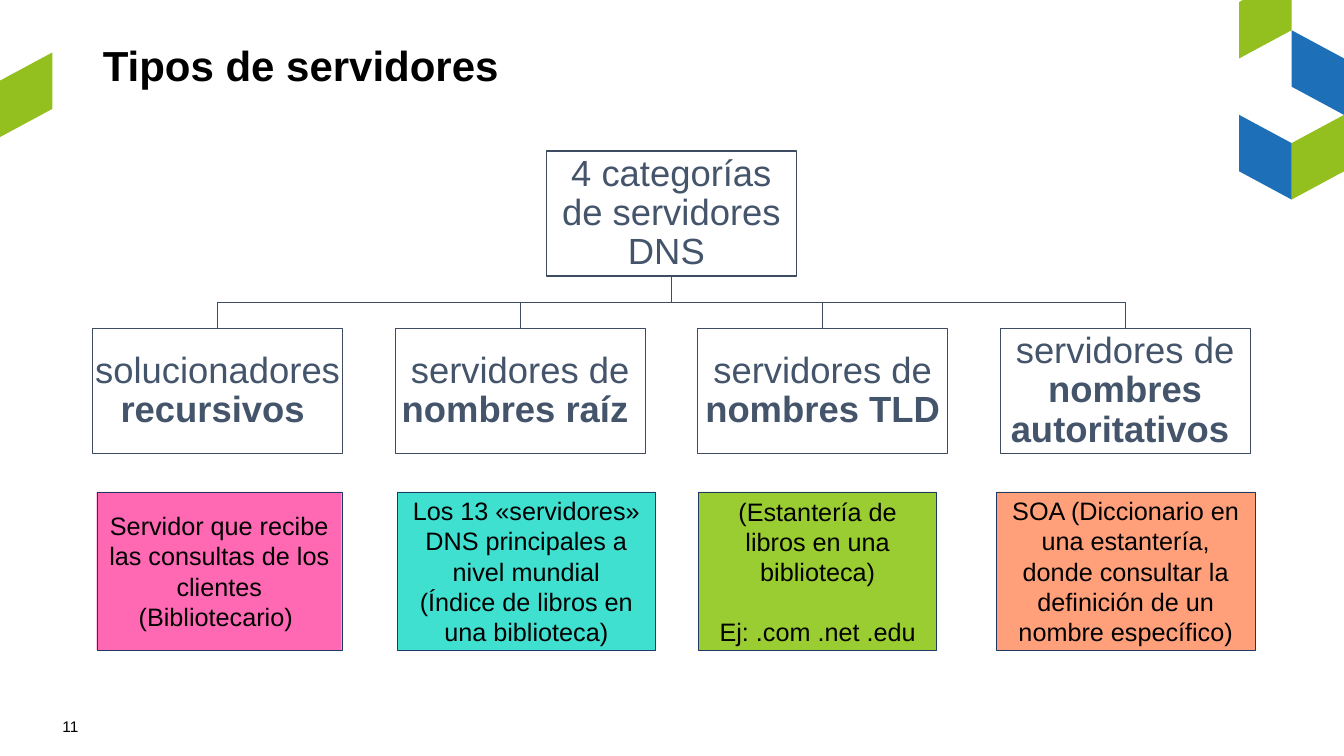
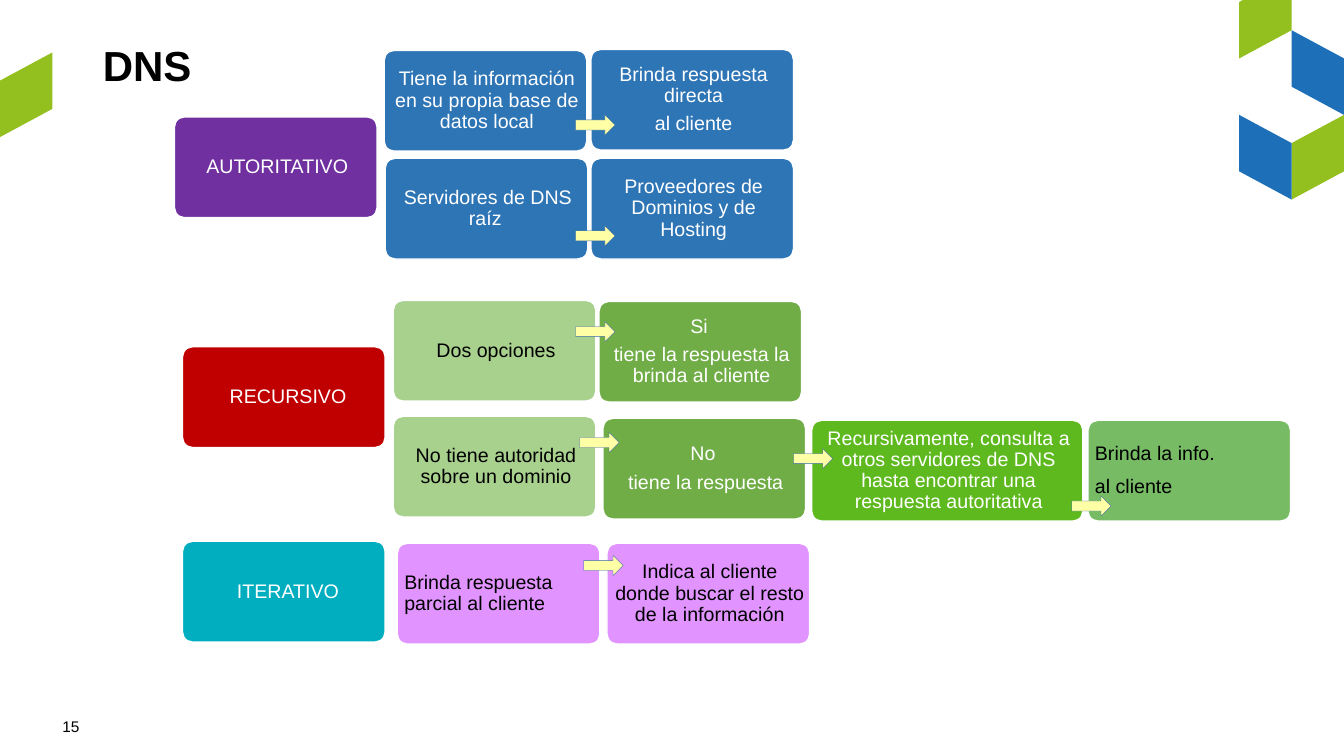
from dataclasses import dataclass
from pptx import Presentation
from pptx.dml.color import RGBColor
from pptx.enum.shapes import MSO_CONNECTOR, MSO_SHAPE
from pptx.enum.text import MSO_ANCHOR, PP_ALIGN
from pptx.oxml import parse_xml
from pptx.util import Inches, Pt


@dataclass(frozen=True)
class Theme:
    """Colours, font and type sizes of the deck."""
    font: str = "Arial"
    black: str = "000000"
    white: str = "FFFFFF"
    lime: str = "93C01F"
    blue: str = "1D70B7"
    slate: str = "44546A"
    edge: str = "3D4C60"
    navy: str = "203864"
    pink: str = "FF69B4"
    aqua: str = "40E0D0"
    grass: str = "9ACD32"
    salmon: str = "FFA07A"
    purple: str = "7030A0"
    azure: str = "2E75B6"
    red: str = "C00000"
    pale: str = "A9D18E"
    green: str = "70AD47"
    bright: str = "5EB91E"
    soft: str = "77BC65"
    teal: str = "00AEC0"
    lilac: str = "E194FF"
    cream: str = "FFFFA6"
    steel: str = "3465A4"
    head: int = 30
    node: int = 26
    note: int = 18
    step: int = 14
    foot: int = 11


T = Theme()
PADS = (0.1, 0.05, 0.1, 0.05)


def write(shape, *paras, size, color=T.black, bold=False, align=PP_ALIGN.CENTER,
          anchor=MSO_ANCHOR.MIDDLE, pads=PADS, space=1.0, after=0, gap=0):
    """Fill a shape with paragraphs; a tuple holds a plain and a bold run."""
    frame = shape.text_frame
    frame.word_wrap = True
    frame.vertical_anchor = anchor
    (frame.margin_left, frame.margin_top,
     frame.margin_right, frame.margin_bottom) = map(Inches, pads)
    for i, para in enumerate(paras):
        line = frame.add_paragraph() if i else frame.paragraphs[0]
        line.alignment = align
        line.line_spacing = space
        line.space_before = Pt(gap if i else 0)
        line.space_after = Pt(after)
        runs = (para,) if isinstance(para, str) else para
        for j, words in enumerate(runs):
            run = line.add_run()
            run.text = words
            font = run.font
            font.name, font.size, font.bold = T.font, Pt(size), bold or j > 0
            font.color.rgb = RGBColor.from_string(color)


def paint(shape, fill, line=None, width=1.0):
    """Set fill and outline and drop the shadow."""
    shape.shadow.inherit = False
    shape.fill.solid()
    shape.fill.fore_color.rgb = RGBColor.from_string(fill)
    if line:
        shape.line.color.rgb = RGBColor.from_string(line)
        shape.line.width = Pt(width)
    else:
        shape.line.fill.background()


def block(slide, kind, box, fill, line, width=1.0):
    """Add a painted preset shape."""
    shape = slide.shapes.add_shape(kind, *map(Inches, box))
    paint(shape, fill, line, width)
    return shape


def link(slide, *ends):
    """Draw a straight line of the tree."""
    line = slide.shapes.add_connector(MSO_CONNECTOR.STRAIGHT, *map(Inches, ends))
    line.line.color.rgb = RGBColor.from_string(T.edge)
    line.line.width = Pt(1)
    line.element.spPr.append(parse_xml(
        '<a:effectLst xmlns:a="http://schemas.openxmlformats.org/drawingml/2006/main"/>'))


def tile(slide, left, top, fill, rising):
    """Add one slanted tile."""
    wide, slant, side = 0.52, 0.28, 0.56
    near, far = (top + slant, top) if rising else (top, top + slant)
    spots = [(left, near), (left + wide, far),
             (left + wide, far + side), (left, near + side)]
    spots = [(Inches(x), Inches(y)) for x, y in spots]
    build = slide.shapes.build_freeform(*spots[0], scale=1.0)
    build.add_line_segments(spots[1:], close=True)
    shape = build.convert_to_shape()
    paint(shape, fill)
    return shape


def dress(layout, slide):
    """Move the tiles into the layout shared by all slides."""
    tree = layout.shapes.element
    for left, top, fill, rising in (
            (0, 0.52, T.lime, True), (12.81, 1.14, T.lime, True),
            (12.29, 1.14, T.blue, False), (12.81, 0.3, T.blue, False),
            (12.29, -0.26, T.lime, True)):
        tree.append(tile(slide, left, top, fill, rising).element)


def start(deck, layout, title, page):
    """Add a slide with its title and page number."""
    slide = deck.slides.add_slide(layout)
    write(slide.shapes.title, title, size=T.head, bold=True,
          align=PP_ALIGN.LEFT, anchor=MSO_ANCHOR.TOP, space=0.9)
    foot = slide.shapes.add_textbox(*map(Inches, (0.52, 7.07, 0.75, 0.4)))
    write(foot, page, size=T.foot, align=PP_ALIGN.LEFT, anchor=MSO_ANCHOR.TOP)
    return slide


def tree(slide, left, top, root, leaves):
    """Draw a root box joined to a row of leaf boxes."""
    wide, high, pitch, drop = 2.48, 1.24, 3.0, 0.26
    low = top + high + 2 * drop
    bus = top + high + drop
    first = left + wide / 2
    last = first + pitch * (len(leaves) - 1)
    mid = (first + last) / 2
    link(slide, mid, top + high, mid, bus)
    link(slide, first, bus, last, bus)
    nodes = [(mid - wide / 2, top, root)]
    for i, words in enumerate(leaves):
        x = left + i * pitch
        link(slide, x + wide / 2, bus, x + wide / 2, low)
        nodes.append((x, low, words))
    for x, y, words in nodes:
        shape = block(slide, MSO_SHAPE.RECTANGLE, (x, y, wide, high), T.white, T.edge)
        write(shape, words, size=T.node, color=T.slate, pads=(0.02,) * 4,
              space=0.9, after=9.1)


def notes(slide, left, top, cards):
    """Draw the coloured notes below the tree."""
    for x, wide, fill, gap, paras in cards:
        shape = block(slide, MSO_SHAPE.RECTANGLE, (left + x, top, wide, 1.57),
                      fill, T.navy, 0.25)
        write(shape, *paras, size=T.note, gap=gap)


def flow(slide, left, top, steps, arrows):
    """Draw the rounded steps of one server type and their arrows."""
    for x, y, fill, ink, paras, *more in steps:
        opts = more[0] if more else {}
        flush = opts.get("flush", False)
        shape = block(slide, MSO_SHAPE.ROUNDED_RECTANGLE,
                      (left + x, top + y, opts.get("wide", 2.01), 1), fill, T.white)
        shape.adjustments[0] = 0.1
        write(shape, *paras, size=T.step, color=ink, space=0.9,
              pads=(0.04, 0.04, 0.01, 0.04), after=8.4 if flush else 4.9,
              align=PP_ALIGN.LEFT if flush else PP_ALIGN.CENTER)
    for x, y in arrows:
        block(slide, MSO_SHAPE.RIGHT_ARROW, (left + x, top + y, 0.39, 0.2),
              T.cream, T.steel, 0.25)


def types(slide):
    """Fill the slide on types of servers."""
    tree(slide, 0.92, 1.5, "4 categorías de servidores DNS ", [
        ("solucionadores ", "recursivos "),
        ("servidores de ", "nombres raíz "),
        ("servidores de ", "nombres TLD"),
        ("servidores de ", "nombres autoritativos ")])
    notes(slide, 0.96, 4.88, [
        (0, 2.43, T.pink, 0, ["Servidor que recibe las consultas de los clientes",
                              "(Bibliotecario) "]),
        (2.98, 2.56, T.aqua, 0, ["Los 13 «servidores» DNS principales a nivel mundial",
                                 "(Índice de libros en una biblioteca)"]),
        (5.97, 2.36, T.grass, 21, ["(Estantería de libros en una biblioteca)",
                                   "Ej: .com .net .edu"]),
        (8.92, 2.57, T.salmon, 0, ["SOA (Diccionario en una estantería, donde consultar "
                                   "la definición de un nombre específico)"])])


def paths(slide):
    """Fill the slide on how each server answers."""
    flow(slide, 1.73, 0.49, [
        (0, 0.67, T.purple, T.white, ["AUTORITATIVO"]),
        (2.08, 0.01, T.azure, T.white,
         ["Tiene la información en su propia base de datos local"]),
        (4.13, 0, T.azure, T.white, ["Brinda respuesta directa", "al cliente"]),
        (2.09, 1.08, T.azure, T.white, ["Servidores de DNS raíz "]),
        (4.13, 1.08, T.azure, T.white, ["Proveedores de Dominios y de Hosting"]),
    ], [(3.98, 0.65), (3.98, 1.75)])
    flow(slide, 1.81, 2.98, [
        (0, 0.46, T.red, T.white, [" RECURSIVO"]),
        (2.09, 0, T.pale, T.black, ["Dos opciones"]),
        (4.13, 0.01, T.green, T.white, ["Si ", "tiene la respuesta la brinda al cliente"]),
        (2.09, 1.15, T.pale, T.black, ["No tiene autoridad sobre un dominio"]),
        (4.17, 1.17, T.green, T.white, ["No ", "tiene la respuesta"]),
        (6.24, 1.19, T.bright, T.white,
         ["Recursivamente, consulta a otros servidores de DNS "
          "hasta encontrar una respuesta autoritativa"], {"wide": 2.69}),
        (8.98, 1.19, T.soft, T.black, ["Brinda la info.", "al cliente"], {"flush": True}),
    ], [(3.9, 0.21), (3.94, 1.31), (6.06, 1.47), (8.82, 1.94)])
    flow(slide, 1.81, 5.37, [
        (0, 0, T.teal, T.white, [" ITERATIVO"]),
        (2.13, 0.02, T.lilac, T.black, ["Brinda respuesta parcial al cliente"],
         {"flush": True}),
        (4.21, 0.02, T.lilac, T.black,
         ["Indica al cliente donde buscar el resto de la información"]),
    ], [(3.98, 0.14)])


def main():
    """Build and save the deck."""
    deck = Presentation()
    deck.slide_width, deck.slide_height = Inches(13.33), Inches(7.5)
    layout = deck.slide_layouts[5]
    title, *rest = layout.placeholders
    for holder in rest:
        layout.shapes.element.remove(holder.element)
    title.left, title.top, title.width, title.height = map(
        Inches, (0.92, 0.4, 10.86, 0.89))
    first = start(deck, layout, "Tipos de servidores", "11")
    dress(layout, first)
    types(first)
    paths(start(deck, layout, "DNS", "15"))
    deck.save("out.pptx")


if __name__ == "__main__":
    main()
